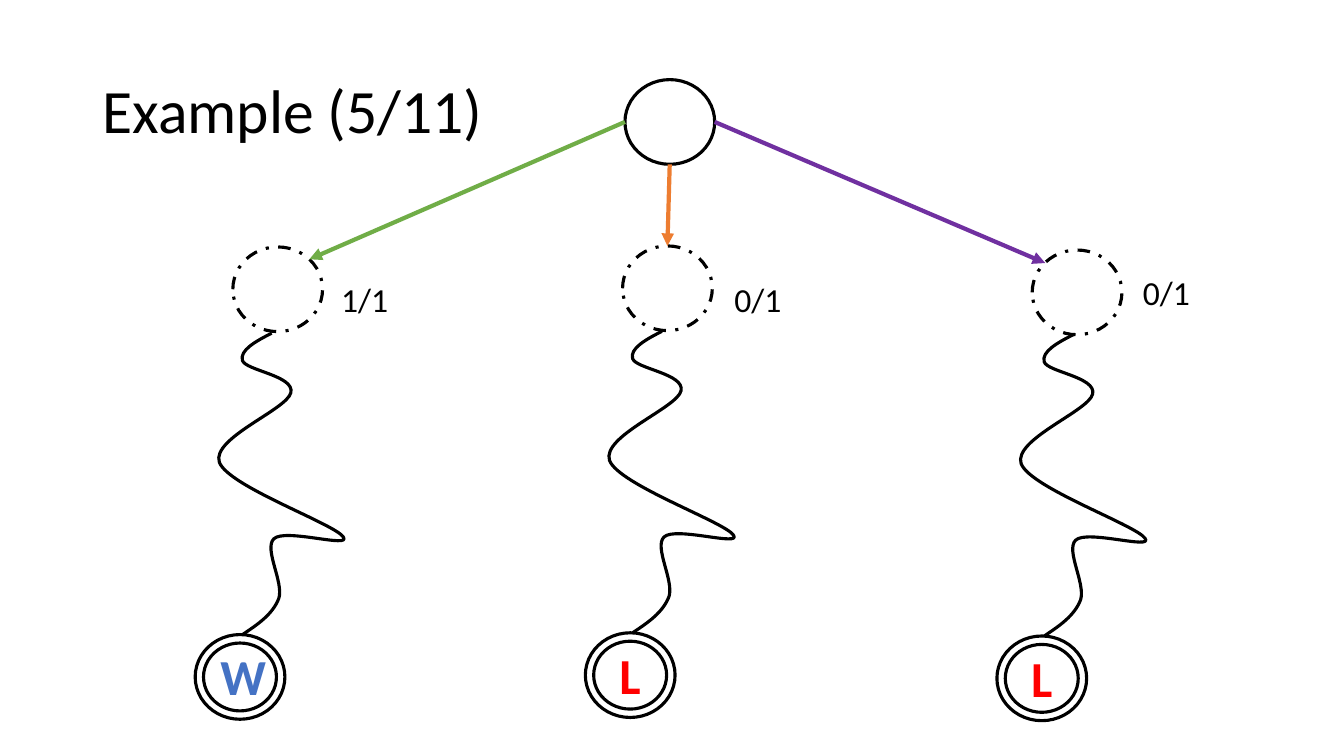
from dataclasses import dataclass

from lxml.etree import SubElement
from pptx import Presentation
from pptx.dml.color import RGBColor
from pptx.enum.dml import MSO_LINE
from pptx.enum.shapes import MSO_CONNECTOR, MSO_SHAPE
from pptx.enum.text import MSO_ANCHOR, PP_ALIGN
from pptx.oxml.ns import qn
from pptx.util import Pt

Point = tuple[float, float]

NODE_W, NODE_H = 64.1, 60.5
RING_INSET = 6
ROOT: Point = (446.4, 56.9)
PLAYOUT_START: Point = (54.7, -215.3)
PLAYOUT_CURVES: list[tuple[Point, Point, Point]] = [
    ((43.2, -209.5), (31.7, -203), (33.8, -195.8)),
    ((36, -188.6), (71.3, -185), (68.4, -172.8)),
    ((65.5, -160.6), (11.5, -140.4), (17.3, -123.1)),
    ((23.8, -105.8), (99.4, -79.2), (105.8, -69.8)),
    ((112.3, -61.2), (64.1, -76.3), (56.2, -68.4)),
    ((49, -61.2), (63.4, -37.4), (59.8, -25.9)),
    ((55.4, -14.4), (44.6, -7.2), (33.8, 0)),
]


@dataclass
class Branch:
    child: Point
    leaf: Point
    arrow_from: Point
    arrow_to: Point
    arrow_color: str
    score: str
    score_at: Point
    result: str
    result_color: str
    result_dx: float


BRANCHES = [
    Branch((166.3, 176.4), (139.4, 453.3), (446.4, 87.1), (221, 185.2),
           "70AD47", "1/1", (236.6, 195.4), "W", "4472C4", 10.9),
    Branch((444.7, 175.7), (418.1, 452), (478.4, 117.4), (476.75, 175.7),
           "ED7D31", "0/1", (517.5, 195.4), "L", "FF0000", 17.3),
    Branch((737.3, 178.6), (712.1, 454.3), (510.5, 87.1), (746.6, 187.9),
           "7030A0", "0/1", (809.3, 190.8), "L", "FF0000", 17.3),
]


def rgb(color: str) -> RGBColor:
    return RGBColor.from_string(color)


def write(tf, text: str, *, size: float, color: str = "000000",
          bold: bool = False, spacing: float = 1.0) -> None:
    tf.word_wrap = True
    p = tf.paragraphs[0]
    p.alignment = PP_ALIGN.LEFT
    p.line_spacing = spacing
    r = p.add_run()
    r.text = text
    r.font.name = "Calibri"
    r.font.size = Pt(size)
    r.font.bold = bold
    r.font.color.rgb = rgb(color)


def add_label(s, at: Point, width: float, height: float, text: str, **fmt) -> None:
    box = s.shapes.add_textbox(Pt(at[0]), Pt(at[1]), Pt(width), Pt(height))
    write(box.text_frame, text, **fmt)


def outline(sp) -> None:
    sp.shadow.inherit = False
    sp.fill.background()
    sp.line.color.rgb = rgb("000000")
    sp.line.width = Pt(2.25)


def add_node(s, at: Point, inset: float = 0, dashed: bool = False):
    sp = s.shapes.add_shape(
        MSO_SHAPE.OVAL, Pt(at[0] + inset), Pt(at[1] + inset),
        Pt(NODE_W - 2 * inset), Pt(NODE_H - 2 * inset))
    outline(sp)
    if dashed:
        sp.line.dash_style = MSO_LINE.DASH_DOT
    return sp


def add_arrow(s, b: Branch, child) -> None:
    cx = s.shapes.add_connector(
        MSO_CONNECTOR.STRAIGHT, Pt(b.arrow_from[0]), Pt(b.arrow_from[1]),
        Pt(b.arrow_to[0]), Pt(b.arrow_to[1]))
    cx.line.color.rgb = rgb(b.arrow_color)
    cx.line.width = Pt(3)
    SubElement(cx.line._get_or_add_ln(), qn("a:tailEnd"), type="triangle")
    SubElement(cx._element.spPr, qn("a:effectLst"))
    if b.arrow_to[1] == b.child[1]:
        cx.end_connect(child, 0)


def add_playout(s, leaf: Point) -> None:
    def place(q: Point) -> tuple[int, int]:
        return Pt(leaf[0] + q[0]), Pt(leaf[1] + q[1])

    fb = s.shapes.build_freeform(*place(PLAYOUT_START))
    fb.add_line_segments([place(c[-1]) for c in PLAYOUT_CURVES], close=False)
    sp = fb.convert_to_shape()
    outline(sp)
    segments = list(sp._element.iter(qn("a:lnTo")))
    for segment, curve in zip(segments, PLAYOUT_CURVES):
        outline_part = segment.getparent()
        outline_part.remove(segment)
        bezier = SubElement(outline_part, qn("a:cubicBezTo"))
        for x, y in map(place, curve):
            SubElement(bezier, qn("a:pt"), x=str(x - sp.left), y=str(y - sp.top))


def add_leaf(s, b: Branch) -> None:
    add_playout(s, b.leaf)
    add_node(s, b.leaf)
    add_node(s, b.leaf, inset=RING_INSET)
    add_label(s, (b.leaf[0] + b.result_dx, b.leaf[1] + 4.3), 41.8, 51.1,
              b.result, size=36, color=b.result_color, bold=True)


def main() -> None:
    prs = Presentation()
    prs.slide_width, prs.slide_height = Pt(960), Pt(540)
    s = prs.slides.add_slide(prs.slide_layouts[5])
    title = s.shapes.title
    title.left, title.top, title.width, title.height = Pt(66), Pt(28.8), Pt(828), Pt(104.4)
    title.text_frame.vertical_anchor = MSO_ANCHOR.MIDDLE
    write(title.text_frame, "Example (5/11)", size=44, spacing=0.9)
    add_node(s, ROOT)
    children = [add_node(s, b.child, dashed=True) for b in BRANCHES]
    for b, child in zip(BRANCHES, children):
        add_arrow(s, b, child)
    for b in BRANCHES:
        add_leaf(s, b)
    for b in BRANCHES:
        add_label(s, b.score_at, 50, 36, b.score, size=24)
    prs.save("out.pptx")


if __name__ == "__main__":
    main()
